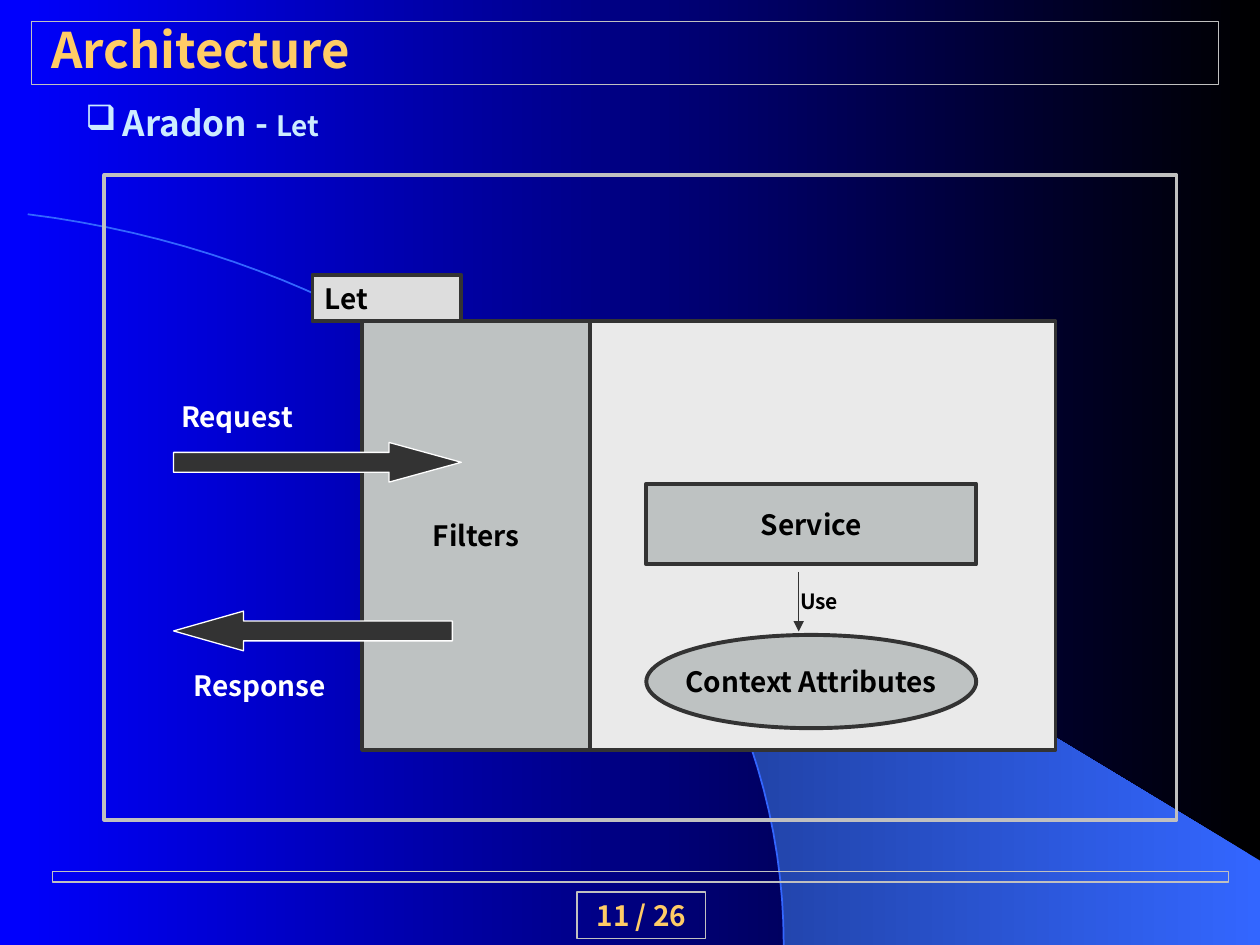
from collections import namedtuple
from pptx import Presentation
from pptx.dml.color import RGBColor
from pptx.enum.shapes import MSO_CONNECTOR, MSO_SHAPE
from pptx.enum.text import MSO_ANCHOR, PP_ALIGN
from pptx.oxml.ns import qn
from pptx.util import Cm, Pt
from lxml.etree import SubElement


class Theme:
    face = "Noto Sans CJK KR"
    blue, black, white = "0000FF", "000000", "FFFFFF"
    sky, navy = "3366FF", "172F75"
    gold, ice, frame = "FFCC66", "CCECFF", "C0C0C0"
    dark, stone, pale, tab = "333333", "BEC2C2", "EAEAEA", "DDDDDD"
    title, head, body, small = 28, 20, 16, 12
    thin, arc, mid, thick = 0.75, 1, 2, 2.25


class Box(namedtuple("Box", "x y w h")):
    def sub(self, x, y, w, h):
        """Box placed relative to this one, in centimetres."""
        return Box(self.x + x, self.y + y, w, h)

    def emu(self):
        return [Cm(v) for v in self]


def rgb(code):
    return RGBColor.from_string(code)


def put(thing, form):
    for name, value in form.items():
        setattr(thing, name, value)


def blend(fill, first, last):
    fill.gradient()
    fill.gradient_angle = 180
    for stop, code in zip(fill.gradient_stops, (first, last)):
        stop.color.rgb = rgb(code)


def stroke(line, code, width):
    line.color.rgb = rgb(code)
    line.width = Pt(width)


def write(shape, runs, color, align=PP_ALIGN.LEFT, anchor=MSO_ANCHOR.TOP):
    """Fill a shape with one paragraph of (text, size) runs."""
    frame = shape.text_frame
    put(frame, dict(word_wrap=False, vertical_anchor=anchor,
                    margin_left=Cm(0.25), margin_right=Cm(0.25),
                    margin_top=Cm(0.13), margin_bottom=Cm(0.13)))
    para = frame.paragraphs[0]
    para.alignment = align
    for text, size in runs:
        run = para.add_run()
        run.text = text
        put(run.font, dict(name=Theme.face, size=Pt(size), bold=True))
        run.font.color.rgb = rgb(color)
    return para


def label(slide, box, runs, color, **form):
    return write(slide.shapes.add_textbox(*box.emu()), runs, color, **form)


def block(slide, box, fill=None, line=Theme.frame, width=Theme.thin,
          kind=MSO_SHAPE.RECTANGLE):
    shape = slide.shapes.add_shape(kind, *box.emu())
    shape.shadow.inherit = False
    if fill:
        shape.fill.solid()
        shape.fill.fore_color.rgb = rgb(fill)
    else:
        shape.fill.background()
    stroke(shape.line, line, width)
    return shape


def trace(slide, points, close):
    pen = [(Cm(x), Cm(y)) for x, y in points]
    build = slide.shapes.build_freeform(*pen[0], scale=1.0)
    build.add_line_segments(pen[1:], close=close)
    shape = build.convert_to_shape()
    shape.shadow.inherit = False
    return shape


def curve(ends, count=48):
    """Points along a cubic curve."""
    for step in range(count + 1):
        t = step / count
        parts = ((1 - t) ** 3, 3 * t * (1 - t) ** 2, 3 * t * t * (1 - t), t ** 3)
        yield tuple(sum(k * p[axis] for k, p in zip(parts, ends)) for axis in (0, 1))


def scene(slide, box):
    """Background fade, bright wedge and arc."""
    blend(slide.background.fill, Theme.black, Theme.blue)
    right, base = box.x + box.w, box.y + box.h
    tip = (box.x + 9.09, box.y + 7.52)
    arc = list(curve([(box.x + x, box.y + y) for x, y in
                      ((0.56, 4.32), (9.27, 5.41), (15.8, 11.71), (15.8, 19.05))]))
    edge = [p for p in arc if p[0] > tip[0]]
    wedge = trace(slide, [tip, *edge, (right, base), (right, box.y + 17.35)], True)
    blend(wedge.fill, Theme.sky, Theme.navy)
    wedge.line.fill.background()
    rim = trace(slide, arc, False)
    rim.fill.background()
    stroke(rim.line, Theme.sky, Theme.arc)


def header(slide, box):
    """Framed title with the bulleted heading below."""
    label(slide, box.sub(0.15, 0, 12.83, box.h), [("Architecture", Theme.title)],
          Theme.gold, anchor=MSO_ANCHOR.BOTTOM)
    block(slide, box)
    para = label(slide, box.sub(0.83, 1.48, 5.4, 1.09),
                 [("Aradon - ", Theme.head), ("Let", Theme.body)], Theme.ice)
    props = para._p.get_or_add_pPr()
    put_in = dict(marL=Cm(0.76), indent=-Cm(0.76))
    for name, value in put_in.items():
        props.set(name, str(value))
    tint = SubElement(props, qn("a:buClr"))
    SubElement(tint, qn("a:srgbClr"), val=Theme.ice)
    SubElement(props, qn("a:buChar"), char="❑")


def footer(slide, box):
    """Rule and page number."""
    block(slide, box.sub(0, 0, box.w, 0.21))
    page = block(slide, box.sub(10.57, 0.41, 2.6, 0.94))
    write(page, [("11 / 26", Theme.body)], Theme.gold, PP_ALIGN.CENTER)


def link(slide, x, top, end):
    """Downward arrow."""
    line = slide.shapes.add_connector(MSO_CONNECTOR.STRAIGHT,
                                      Cm(x), Cm(top), Cm(x), Cm(end))
    stroke(line.line, Theme.dark, Theme.thin)
    props = line.element.spPr
    SubElement(props.find(qn("a:ln")), qn("a:tailEnd"), type="triangle")
    SubElement(props, qn("a:effectLst"))


def let(slide, box):
    """Let container: tab, filters, service and context."""
    edge = dict(line=Theme.dark, width=Theme.thick)
    block(slide, box, Theme.pale, **edge)
    for text, kind, area in (
            ("Filters", MSO_SHAPE.RECTANGLE, (0, 0, 4.6, box.h)),
            ("Context Attributes", MSO_SHAPE.OVAL, (5.73, 6.32, 6.65, 1.88)),
            ("Service", MSO_SHAPE.RECTANGLE, (5.73, 3.27, 6.65, 1.63))):
        part = block(slide, box.sub(*area), Theme.stone, kind=kind, **edge)
        write(part, [(text, Theme.body)], Theme.black,
              PP_ALIGN.CENTER, MSO_ANCHOR.MIDDLE)
    tab = block(slide, box.sub(-1, -0.94, 3, 0.94), Theme.tab, **edge)
    write(tab, [("Let", Theme.body)], Theme.black)
    link(slide, box.x + 8.8, box.y + 5.05, box.y + 6.25)
    label(slide, box.sub(8.58, 5.25, 1.3, 0.76), [("Use", Theme.small)], Theme.black)


def flow(slide, box):
    """Request and response arrows."""
    for text, kind, area, head, note in (
            ("Request", MSO_SHAPE.RIGHT_ARROW, (0, 1, 5.8, 0.8), 1.82,
             (-0.1, 0, 2.8, 0.94)),
            ("Response", MSO_SHAPE.LEFT_ARROW, (0, 4.4, 5.62, 0.8), 1.76,
             (0.15, 5.42, 3.18, 0.94))):
        arrow = block(slide, box.sub(*area), Theme.dark, Theme.white, kind=kind)
        arrow.adjustments[1] = head
        label(slide, box.sub(*note), [(text, Theme.body)], Theme.white)


def main():
    deck = Presentation()
    full = Box(0, 0, 25.4, 19.05)
    put(deck, dict(slide_width=Cm(full.w), slide_height=Cm(full.h)))
    slide = deck.slides.add_slide(deck.slide_layouts[6])
    scene(slide, full)
    header(slide, Box(0.64, 0.43, 23.93, 1.27))
    footer(slide, Box(1.06, 17.57, 23.71, 1.35))
    panel = Box(2.1, 3.53, 21.62, 13)
    block(slide, panel, width=Theme.mid)
    let(slide, panel.sub(5.2, 2.95, 13.98, 8.64))
    flow(slide, panel.sub(1.4, 4.39, 5.8, 6.36))
    deck.save("out.pptx")


if __name__ == "__main__":
    main()
